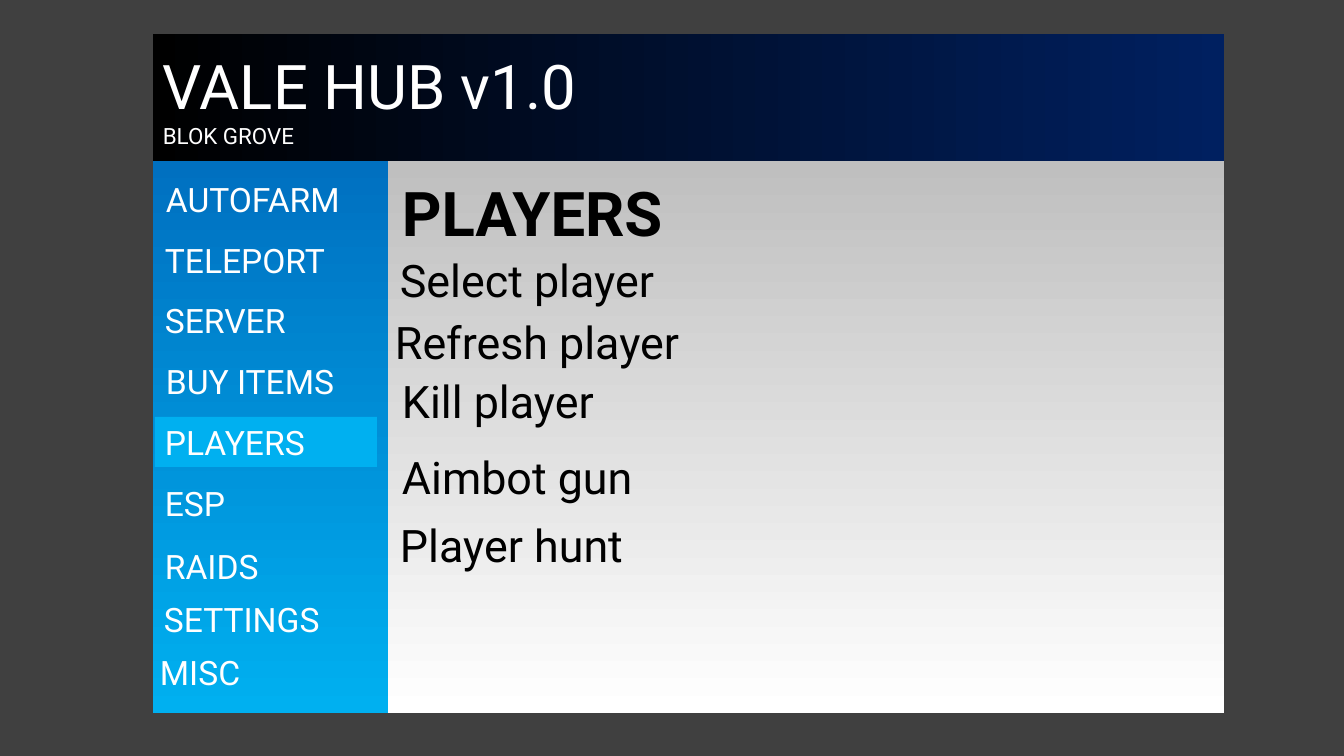
from pptx import Presentation
from pptx.dml.color import RGBColor
from pptx.enum.shapes import MSO_SHAPE
from pptx.enum.text import MSO_ANCHOR, MSO_AUTO_SIZE, PP_ALIGN
from pptx.util import Emu, Pt

RECTANGLE = MSO_SHAPE.RECTANGLE
TOP = MSO_ANCHOR.TOP
GROW = MSO_AUTO_SIZE.SHAPE_TO_FIT_TEXT
LEFT = PP_ALIGN.LEFT

EMU_PER_PIXEL = 914400 / 100.8
FONT = "Roboto"
COLORS = {
    "backdrop": "404040", "black": "000000", "white": "FFFFFF", "navy": "002060",
    "blue": "0070C0", "sky": "00B0F0", "gray": "BFBFBF",
}
DOWN, RIGHT = 270, 0


def px(length):
    return Emu(round(length * EMU_PER_PIXEL))


def rgb(name):
    return RGBColor.from_string(COLORS[name])


class Panel:
    """Holds the current slide and draws elements in the window's style."""

    def __init__(self, slide):
        self.slide = slide
        slide.background.fill.solid()
        slide.background.fill.fore_color.rgb = rgb("backdrop")

    def rect(self, *box):
        shape = self.slide.shapes.add_shape(RECTANGLE, *map(px, box))
        shape.shadow.inherit = False
        shape.line.fill.background()
        return shape

    def gradient(self, box, start, end, angle):
        fill = self.rect(*box).fill
        fill.gradient()
        fill.gradient_angle = angle
        for stop, color in zip(fill.gradient_stops, (start, end)):
            stop.color.rgb = rgb(color)

    def set_text(self, shape, lines, color, bold=False):
        frame = shape.text_frame
        frame.word_wrap = True
        frame.auto_size = GROW
        frame.vertical_anchor = TOP
        frame.text = "\n".join(text for text, _ in lines)
        for paragraph, (_, size) in zip(frame.paragraphs, lines):
            paragraph.alignment = LEFT
            font = paragraph.font
            font.name, font.size, font.bold = FONT, Pt(size), bold
            font.color.rgb = rgb(color)

    def text(self, box, lines, color, bold=False):
        self.set_text(self.slide.shapes.add_textbox(*map(px, box)), lines, color, bold)

    def highlight(self, box, lines):
        shape = self.rect(*box)
        shape.fill.solid()
        shape.fill.fore_color.rgb = rgb("sky")
        self.set_text(shape, lines, "white")


deck = Presentation()
deck.slide_width, deck.slide_height = px(1344), px(756)
panel = Panel(deck.slides.add_slide(deck.slide_layouts[6]))

# Window: sidebar, content area and header
panel.gradient((153, 161, 235, 552), "blue", "sky", DOWN)
panel.gradient((388, 161, 836, 552), "gray", "white", DOWN)
panel.gradient((153, 34, 1071, 127), "black", "navy", RIGHT)
panel.text((153, 43, 599, 109), [("VALE HUB v1.0", 44), ("BLOK GROVE", 16)], "white")

# Sidebar menu
ACTIVE_TAB = "PLAYERS"
menu = [
    ("AUTOFARM", 156, 174), ("TELEPORT", 155, 235), ("SERVER", 155, 295),
    ("BUY ITEMS", 156, 356), (ACTIVE_TAB, 155, 417), ("ESP", 155, 478),
    ("RAIDS", 155, 541), ("SETTINGS", 154, 594), ("MISC", 150, 647),
]
for tab, left, top in menu:
    box, label = (left, top, 222, 50), [(tab, 24)]
    if tab == ACTIVE_TAB:
        panel.highlight(box, label)
    else:
        panel.text(box, label, "white")

# Options of the active tab
panel.text((392, 170, 781, 85), [(ACTIVE_TAB, 44)], "black", bold=True)
options = [
    ("Select player", 390, 248), ("Refresh player", 385, 310),
    ("Kill player", 392, 369), ("Aimbot gun", 392, 445), ("Player hunt", 390, 513),
]
for option, left, top in options:
    panel.text((left, top, 842, 64), [(option, 32)], "black")

deck.save("out.pptx")
